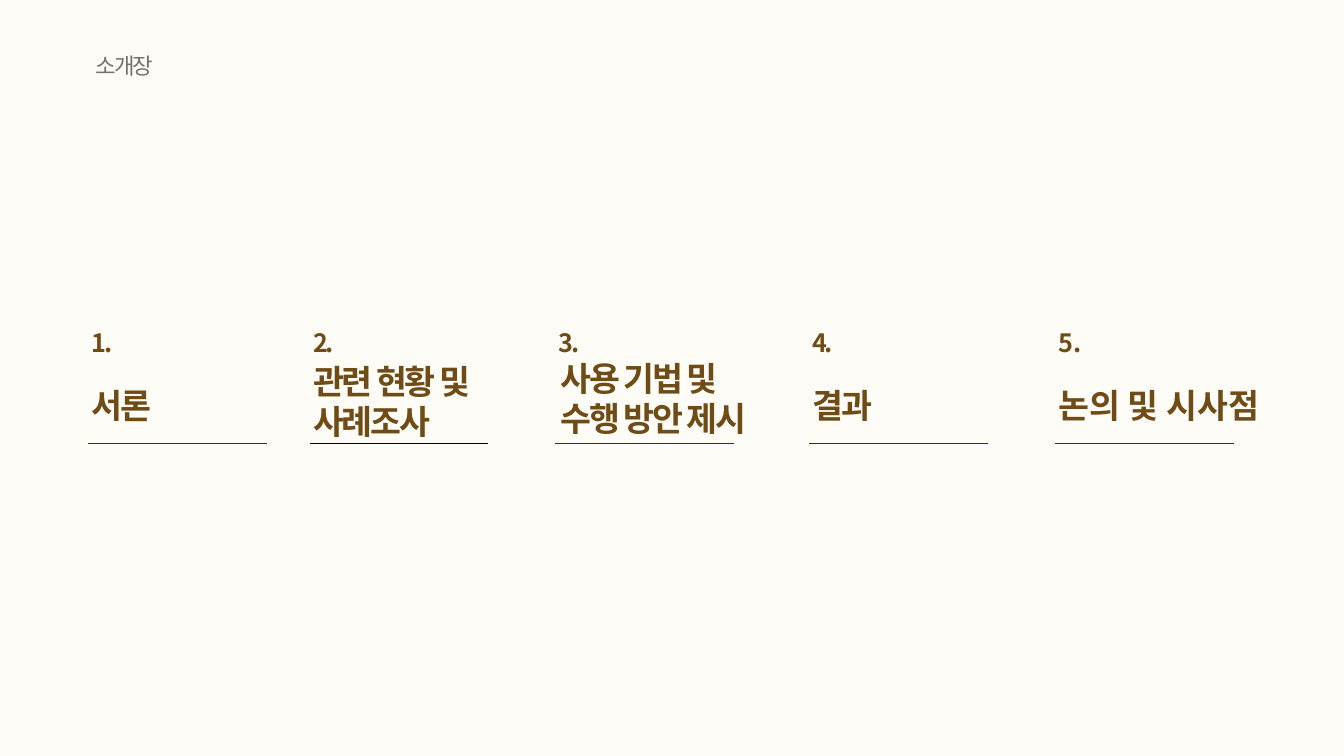
from dataclasses import dataclass

from lxml import etree
from pptx import Presentation
from pptx.dml.color import RGBColor
from pptx.enum.shapes import MSO_CONNECTOR
from pptx.enum.text import MSO_ANCHOR, MSO_AUTO_SIZE, PP_ALIGN
from pptx.oxml.ns import qn
from pptx.util import Cm, Pt

STRAIGHT = MSO_CONNECTOR.STRAIGHT
TOP = MSO_ANCHOR.TOP
GROW = MSO_AUTO_SIZE.SHAPE_TO_FIT_TEXT
LEFT = PP_ALIGN.LEFT


@dataclass(frozen=True)
class Theme:
    font: str = "Noto Sans CJK KR"
    paper: str = "FDFCF7"
    brown: str = "6F4B15"
    grey: str = "767171"
    rule: str = "3D3201"
    black: str = "000000"
    label_size: int = 16
    number_size: int = 18
    heading_size: int = 24
    rule_width: float = 0.5
    tight: int = -150


THEME = Theme()


def write(box, text, size, color, bold, spacing):
    """Fill a box with left-aligned text in the theme font."""
    frame = box.text_frame
    frame.text = text
    frame.word_wrap = True
    frame.auto_size = GROW
    frame.vertical_anchor = TOP
    for para in frame.paragraphs:
        para.alignment = LEFT
        for span in para.runs:
            span.font.name = THEME.font
            span.font.size = Pt(size)
            span.font.bold = bold
            span.font.color.rgb = RGBColor.from_string(color)
            properties = span.font._element
            properties.set("spc", str(spacing))
            east_asian = etree.SubElement(properties, qn("a:ea"))
            east_asian.set("typeface", THEME.font)


# Slide and background
deck = Presentation()
deck.slide_width, deck.slide_height = Cm(33.87), Cm(19.05)
page = deck.slides.add_slide(deck.slide_layouts[5])
page.background.fill.solid()
page.background.fill.fore_color.rgb = RGBColor.from_string(THEME.paper)

# Page label
label = page.shapes.title
label.left, label.top, label.width, label.height = Cm(2.16), Cm(1.19), Cm(4.83), Cm(0.94)
write(label, "소개장", THEME.label_size, THEME.grey, False, THEME.tight)

# Chapters: left edge, heading, heading offset, top, width and height, rule colour, spacing
chapters = [
    (2.06, "서론", 0, 9.58, 5.28, 1.24, THEME.rule, THEME.tight),
    (7.64, "관련 현황 및 사례조사", 0, 8.97, 5.28, 2.26, THEME.black, THEME.tight),
    (13.82, "사용 기법 및\n수행 방안 제시", 0.05, 8.89, 5.92, 2.26, THEME.rule, THEME.tight),
    (20.22, "결과", 0, 9.58, 5.28, 1.24, THEME.rule, THEME.tight),
    (26.42, "논의 및 시사점", 0, 9.58, 6.4, 1.24, THEME.rule, 0),
]
for index, chapter in enumerate(chapters, start=1):
    left, heading, offset, top, width, height, rule_color, spacing = chapter

    number_box = page.shapes.add_textbox(Cm(left), Cm(8.13), Cm(3.91), Cm(1.02))
    write(number_box, f"{index}.", THEME.number_size, THEME.brown, True, spacing)

    heading_box = page.shapes.add_textbox(Cm(left + offset), Cm(top), Cm(width), Cm(height))
    write(heading_box, heading, THEME.heading_size, THEME.brown, True, spacing)

    rule_left = left + 0.17
    rule = page.shapes.add_connector(
        STRAIGHT, Cm(rule_left), Cm(11.18), Cm(rule_left + 4.5), Cm(11.18)
    )
    rule.line.color.rgb = RGBColor.from_string(rule_color)
    rule.line.width = Pt(THEME.rule_width)
    etree.SubElement(rule._element.spPr, qn("a:effectLst"))

deck.save("out.pptx")
